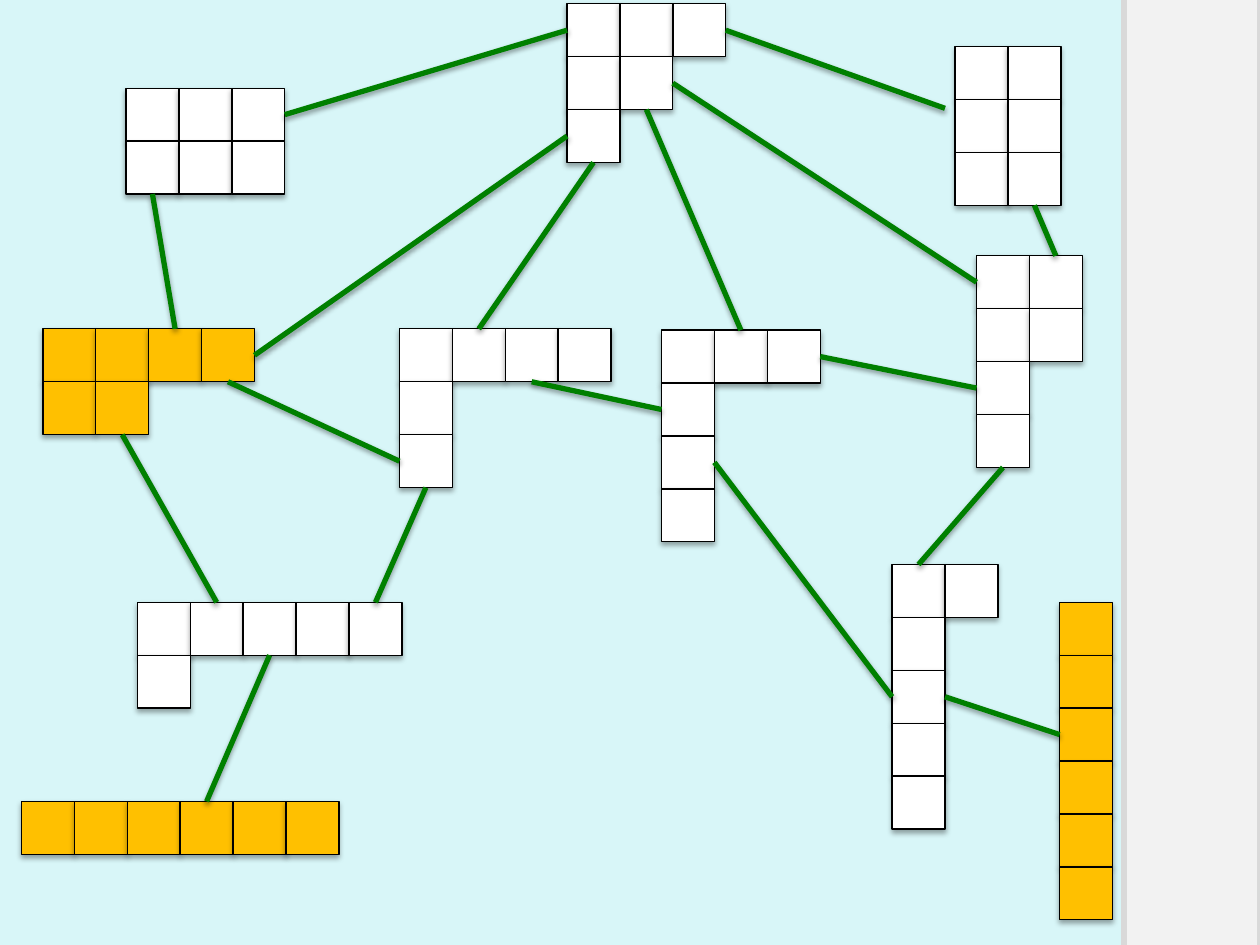
from dataclasses import dataclass

from lxml import etree
from pptx import Presentation
from pptx.dml.color import RGBColor
from pptx.enum.shapes import MSO_CONNECTOR, MSO_SHAPE
from pptx.oxml.ns import qn
from pptx.util import Inches, Pt

RECTANGLE = MSO_SHAPE.RECTANGLE
STRAIGHT = MSO_CONNECTOR.STRAIGHT
TOP, LEFT, BOTTOM, RIGHT = range(4)
SQUARE = 0.42


@dataclass(frozen=True)
class Theme:
    background: str = "D8F6F8"
    panel: str = "F2F2F2"
    panel_line: str = "D9D9D9"
    plain: str = "FFFFFF"
    marked: str = "FFC000"
    outline: str = "000000"
    link: str = "008000"
    shadow: str = "000000"


THEME = Theme()

# Partitions of six: row lengths, left, top, fill
DIAGRAMS = [
    ((2, 2, 2), 7.58, 0.37, THEME.plain),
    ((2, 2, 1, 1), 7.75, 2.03, THEME.plain),
    ((2, 1, 1, 1, 1), 7.08, 4.48, THEME.plain),
    ((1, 1, 1, 1, 1, 1), 8.41, 4.78, THEME.marked),
    ((3, 1, 1, 1), 5.25, 2.62, THEME.plain),
    ((3, 2, 1), 4.5, 0.03, THEME.plain),
    ((3, 3), 1, 0.7, THEME.plain),
    ((4, 2), 0.34, 2.61, THEME.marked),
    ((5, 1), 1.09, 4.78, THEME.plain),
    ((6,), 0.17, 6.36, THEME.marked),
    ((4, 1, 1), 3.17, 2.61, THEME.plain),
]

# Each end: partition, row, column, side of the square
LINKS = [
    (((4, 1, 1), 2, 0, LEFT), ((4, 2), 0, 3, BOTTOM)),
    (((6,), 0, 3, TOP), ((5, 1), 0, 2, BOTTOM)),
    (((5, 1), 0, 4, TOP), ((4, 1, 1), 2, 0, BOTTOM)),
    (((4, 2), 0, 3, RIGHT), ((3, 2, 1), 2, 0, LEFT)),
    (((3, 3), 0, 2, RIGHT), ((3, 2, 1), 0, 0, LEFT)),
    (((4, 1, 1), 0, 1, TOP), ((3, 2, 1), 2, 0, BOTTOM)),
    (((2, 1, 1, 1, 1), 2, 0, LEFT), ((3, 1, 1, 1), 2, 0, RIGHT)),
    (((5, 1), 0, 1, TOP), ((4, 2), 1, 1, BOTTOM)),
    (((3, 2, 1), 1, 1, BOTTOM), ((3, 1, 1, 1), 0, 1, TOP)),
    (((2, 2, 1, 1), 0, 0, LEFT), ((3, 2, 1), 1, 1, RIGHT)),
    (((3, 1, 1, 1), 0, 2, RIGHT), ((2, 2, 1, 1), 2, 0, LEFT)),
    (((2, 2, 1, 1), 0, 1, TOP), ((2, 2, 2), 2, 1, BOTTOM)),
    (None, ((3, 2, 1), 0, 2, RIGHT)),  # begins at a free point
    (((2, 1, 1, 1, 1), 0, 0, TOP), ((2, 2, 1, 1), 3, 0, BOTTOM)),
    (((2, 1, 1, 1, 1), 2, 0, RIGHT), ((1, 1, 1, 1, 1, 1), 2, 0, LEFT)),
    (((3, 3), 1, 0, BOTTOM), ((4, 2), 0, 2, TOP)),
    (((4, 1, 1), 0, 2, BOTTOM), ((3, 1, 1, 1), 1, 0, LEFT)),
]
FREE_POINT = (Inches(7.5), Inches(0.86))


def set_shadow(shape, distance, opacity):
    """Drop a soft shadow straight down."""
    effects = etree.SubElement(shape._element.spPr, qn("a:effectLst"))
    shadow = etree.SubElement(
        effects, qn("a:outerShdw"), blurRad=str(Pt(3.1)),
        dist=str(Pt(distance)), dir="5400000", rotWithShape="0")
    color = etree.SubElement(shadow, qn("a:srgbClr"), val=THEME.shadow)
    etree.SubElement(color, qn("a:alpha"), val=str(opacity * 1000))


def add_rectangle(shapes, left, top, width, height, fill, line, weight):
    shape = shapes.add_shape(RECTANGLE, Inches(left), Inches(top),
                             Inches(width), Inches(height))
    shape.fill.solid()
    shape.fill.fore_color.rgb = RGBColor.from_string(fill)
    shape.line.color.rgb = RGBColor.from_string(line)
    shape.line.width = Pt(weight)
    return shape


def add_diagram(slide, rows, left, top, fill):
    """Draw one group of squares; return them by row and column."""
    group = slide.shapes.add_group_shape()
    squares = {}
    for row, length in enumerate(rows):
        for column in range(length):
            square = add_rectangle(
                group.shapes, left + column * SQUARE, top + row * SQUARE,
                SQUARE, SQUARE, fill, THEME.outline, 0.75)
            set_shadow(square, 1.8, 35)
            squares[row, column] = square
    return squares


def add_link(slide, diagrams, begin, end):
    connector = slide.shapes.add_connector(STRAIGHT, *FREE_POINT, *FREE_POINT)
    if begin:
        rows, row, column, side = begin
        connector.begin_connect(diagrams[rows][row, column], side)
    rows, row, column, side = end
    connector.end_connect(diagrams[rows][row, column], side)
    connector.line.color.rgb = RGBColor.from_string(THEME.link)
    connector.line.width = Pt(3)
    set_shadow(connector, 1.6, 38)


def main():
    presentation = Presentation()
    presentation.slide_width, presentation.slide_height = Inches(10), Inches(7.5)
    slide = presentation.slides.add_slide(presentation.slide_layouts[6])

    # Background and side panel
    slide.background.fill.solid()
    slide.background.fill.fore_color.rgb = RGBColor.from_string(THEME.background)
    panel = add_rectangle(slide.shapes, 8.92, -0.08, 1.08, 7.67,
                          THEME.panel, THEME.panel_line, 3.15)
    panel.shadow.inherit = False

    # Diagrams, then the links over them
    diagrams = {diagram[0]: add_diagram(slide, *diagram) for diagram in DIAGRAMS}
    for begin, end in LINKS:
        add_link(slide, diagrams, begin, end)

    presentation.save("out.pptx")


if __name__ == "__main__":
    main()
